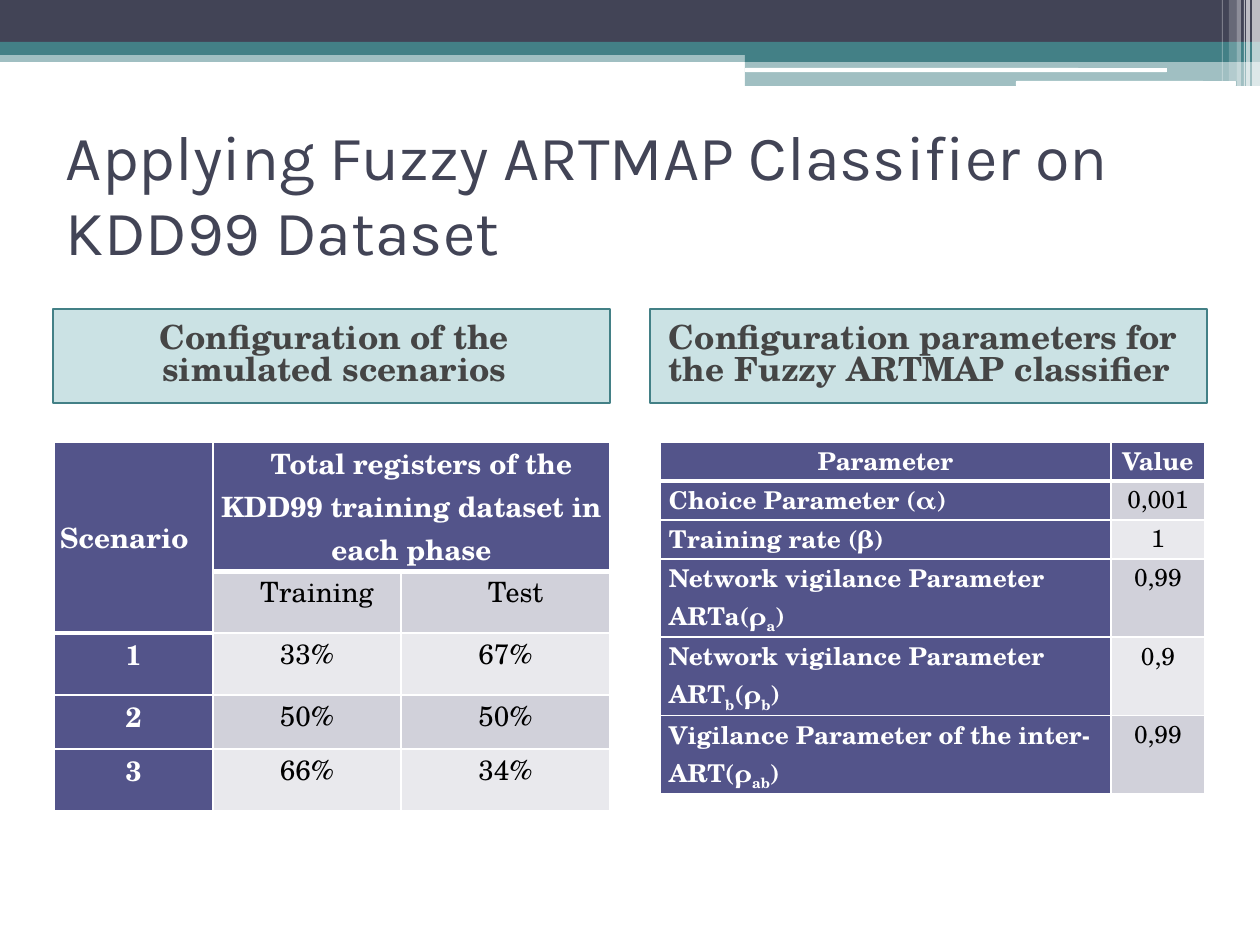
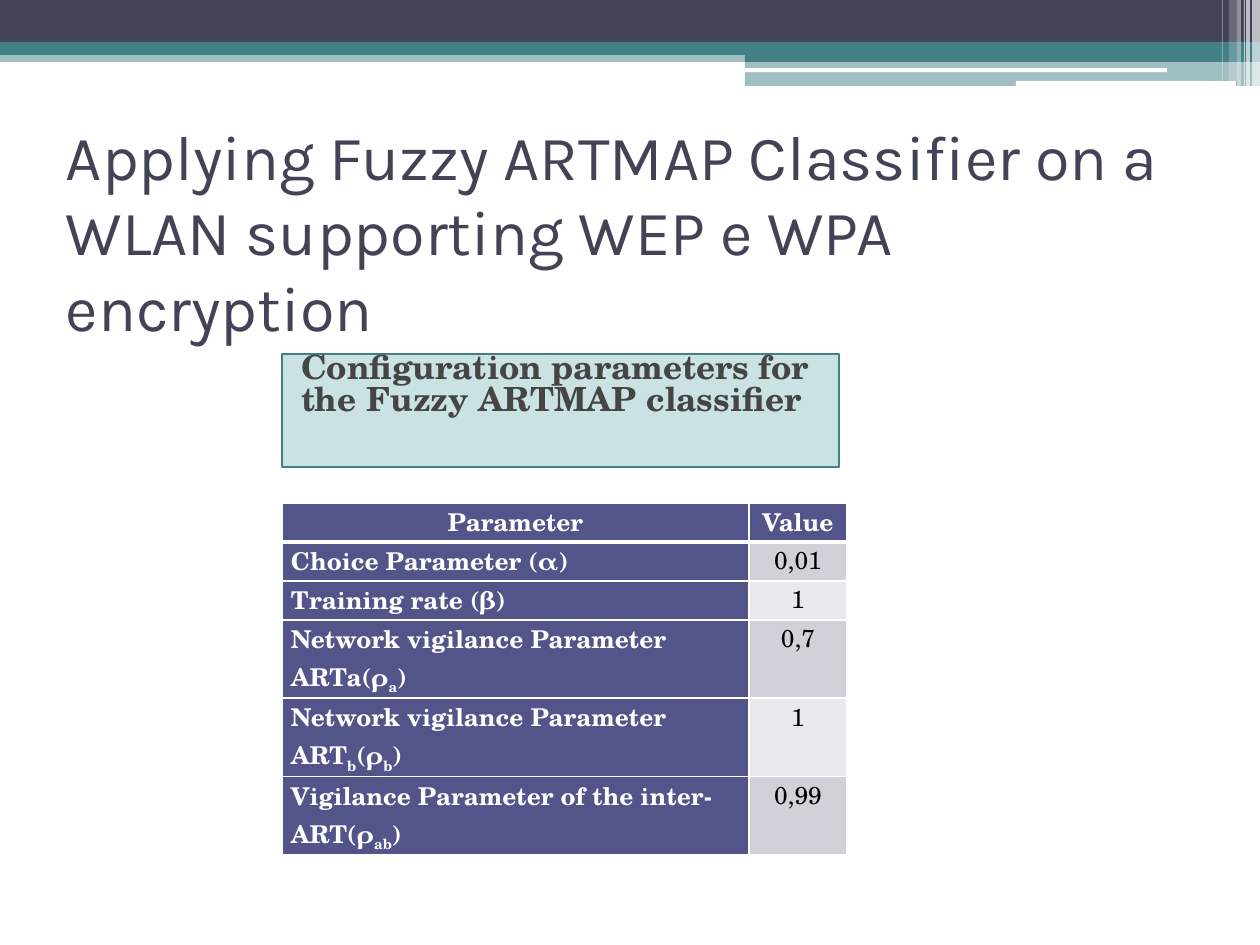
from dataclasses import dataclass

from lxml import etree
from pptx import Presentation
from pptx.dml.color import RGBColor
from pptx.enum.shapes import MSO_SHAPE
from pptx.enum.text import MSO_ANCHOR, MSO_AUTO_SIZE, PP_ALIGN
from pptx.oxml.ns import qn
from pptx.util import Emu, Pt

RECT, ROUND = MSO_SHAPE.RECTANGLE, MSO_SHAPE.ROUNDED_RECTANGLE
LEFT, CENTER, JUSTIFY = PP_ALIGN.LEFT, PP_ALIGN.CENTER, PP_ALIGN.JUSTIFY
TOP, MIDDLE = MSO_ANCHOR.TOP, MSO_ANCHOR.MIDDLE
NO_FIT = MSO_AUTO_SIZE.NONE

PX_PER_INCH = 126
COMPARISON_LAYOUT = 4
DARK, TEAL, WHITE, BLACK = "424456", "438086", "FFFFFF", "000000"
CAPTION_FILL, CAPTION_TEXT = "328E97", "454545"
HEAD, BAND_ODD, BAND_EVEN = "53548A", "D1D1DA", "E9E9ED"
TITLE_FONT, BODY_FONT = "Karla", "TeX Gyre Schola"
PARAMETERS = [
    "Choice Parameter (α)",
    "Training rate (β)",
    "Network vigilance Parameter ARTa(ρ_a_)",
    "Network vigilance Parameter ART_b_(ρ_b_)",
    "Vigilance Parameter of the inter-ART(ρ_ab_)",
]
PARAMETER_CAPTION = "Configuration parameters for the Fuzzy ARTMAP classifier"


@dataclass
class Band:
    left: int
    top: int
    width: int
    height: int
    color: str
    alpha: int = 100
    kind: int = RECT


@dataclass
class Caption:
    idx: int
    left: int
    top: int
    height: int
    text: str
    align: int = LEFT
    anchor: int = MIDDLE


@dataclass
class Grid:
    left: int
    top: int
    cols: list[int]
    rows: list[int]
    texts: list[list[str]]
    size: int
    inset: int
    label_align: int


BANDS = [
    Band(0, 50, 1260, 12, TEAL, 50),
    Band(0, 0, 1260, 42, DARK),
    Band(0, 42, 1260, 13, TEAL),
    Band(745, 49, 515, 13, TEAL),
    Band(745, 61, 515, 25, TEAL, 50),
    Band(745, 68, 422, 4, WHITE, kind=ROUND),
    Band(1016, 81, 220, 5, WHITE, kind=ROUND),
    Band(1252, 0, 8, 86, WHITE, 65),
    Band(1246, 0, 4, 86, WHITE, 65),
    Band(1244, 0, 1, 86, WHITE, 60),
    Band(1237, 0, 4, 86, WHITE, 40),
    Band(1229, 0, 8, 81, WHITE, 20),
    Band(1222, 0, 1, 81, WHITE, 30),
]


def px(n: int) -> Emu:
    return Emu(round(n * 914400 / PX_PER_INCH))


def rgb(color: str) -> RGBColor:
    return RGBColor.from_string(color)


def paint(sp, color: str, alpha: int = 100) -> None:
    sp.fill.solid()
    sp.fill.fore_color.rgb = rgb(color)
    if alpha < 100:
        clr = sp.element.spPr.find(qn("a:solidFill"))[0]
        etree.SubElement(clr, qn("a:alpha"), val=str(alpha * 1000))


def place(sp, left: int, top: int, width: int, height: int) -> None:
    sp.left, sp.top = px(left), px(top)
    sp.width, sp.height = px(width), px(height)


def style(r, font: str, size: int, color: str, bold: bool = False) -> None:
    r.font.name = font
    r.font.size = Pt(size)
    r.font.color.rgb = rgb(color)
    r.font.bold = bold


def indent(p, margin: int, first: int) -> None:
    pPr = p._p.get_or_add_pPr()
    pPr.set("marL", str(px(margin)))
    pPr.set("indent", str(px(first)))


def add_bands(prs, s) -> None:
    tree = prs.slide_master.shapes.element
    for i, b in enumerate(BANDS):
        sp = s.shapes.add_shape(b.kind, px(b.left), px(b.top), px(b.width), px(b.height))
        paint(sp, b.color, b.alpha)
        sp.line.fill.background()
        sp.shadow.inherit = False
        tree.insert(2 + i, sp.element)


def set_title(s, text: str, bottom_inset: int = 6) -> None:
    sp = s.shapes.title
    place(sp, 53, 157, 1155, 147)
    tf = sp.text_frame
    tf.text = text
    tf.auto_size = NO_FIT
    tf.word_wrap = True
    tf.vertical_anchor = MIDDLE
    tf.margin_left = tf.margin_right = px(13)
    tf.margin_top, tf.margin_bottom = px(6), px(bottom_inset)
    p = tf.paragraphs[0]
    p.alignment = LEFT
    style(p.runs[0], TITLE_FONT, 36, DARK)


def set_caption(s, c: Caption) -> None:
    sp = s.placeholders[c.idx]
    place(sp, c.left, c.top, 557, c.height)
    paint(sp, CAPTION_FILL, 25)
    sp.line.color.rgb = rgb(TEAL)
    sp.line.width = Pt(1)
    tf = sp.text_frame
    tf.text = c.text
    tf.auto_size = NO_FIT
    tf.word_wrap = True
    tf.vertical_anchor = c.anchor
    tf.margin_left = tf.margin_right = px(13)
    tf.margin_top = tf.margin_bottom = 0
    p = tf.paragraphs[0]
    indent(p, 6, 0)
    p.alignment = c.align
    p.line_spacing = 0.8
    p.space_before = Pt(0)
    style(p.runs[0], BODY_FONT, 19, CAPTION_TEXT, True)


def set_borders(cell, bottom: int) -> None:
    tcPr = cell._tc.get_or_add_tcPr()
    for i, side in enumerate("LRTB"):
        width = bottom if side == "B" else 1
        ln = etree.Element(qn(f"a:ln{side}"), w=str(Pt(width)))
        fill = etree.SubElement(ln, qn("a:solidFill"))
        etree.SubElement(fill, qn("a:srgbClr"), val=WHITE)
        tcPr.insert(i, ln)


def fill_cell(cell, g: Grid, row: int, col: int) -> None:
    text = g.texts[row][col]
    is_head = row == 0 or col == 0
    cell.fill.solid()
    cell.fill.fore_color.rgb = rgb(HEAD if is_head else BAND_ODD if row % 2 else BAND_EVEN)
    set_borders(cell, 3 if row == 0 or not text else 1)
    cell.margin_left = cell.margin_right = px(g.inset)
    cell.margin_top = cell.margin_bottom = 0
    p = cell.text_frame.paragraphs[0]
    p.alignment = g.label_align if row and col == 0 else CENTER
    for i, part in enumerate(text.split("_")):
        if part:
            r = p.add_run()
            r.text = part
            style(r, BODY_FONT, g.size, WHITE if is_head else BLACK, is_head)
            if i % 2:
                r._r.get_or_add_rPr().set("baseline", "-25000")


def add_grid(s, g: Grid):
    frame = s.shapes.add_table(
        len(g.rows), len(g.cols), px(g.left), px(g.top), px(sum(g.cols)), px(sum(g.rows))
    )
    table = frame.table
    for col, width in enumerate(g.cols):
        table.columns[col].width = px(width)
    for row, height in enumerate(g.rows):
        table.rows[row].height = px(height)
        for col in range(len(g.cols)):
            fill_cell(table.cell(row, col), g, row, col)
    return table


def add_scenarios(s) -> None:
    texts = [
        ["Scenario", "Total registers of the KDD99 training dataset in each phase", ""],
        ["", "Training", "Test"],
        ["1", "33%", "67%"],
        ["2", "50%", "50%"],
        ["3", "66%", "34%"],
    ]
    g = Grid(54, 442, [159, 188, 209], [62, 62, 62, 54, 62], texts, 16, 6, CENTER)
    table = add_grid(s, g)
    scenario = table.cell(0, 0)
    scenario.merge(table.cell(1, 0))
    table.cell(0, 1).merge(table.cell(0, 2))
    scenario.vertical_anchor = MIDDLE
    scenario.text_frame.paragraphs[0].alignment = JUSTIFY
    for row, col in [(0, 1), (1, 1), (1, 2)]:
        indent(table.cell(row, col).text_frame.paragraphs[0], 0, 20)


def add_parameters(s, left: int, top: int, cols: list[int], values: list[str]) -> None:
    texts = [["Parameter", "Value"]] + [list(pair) for pair in zip(PARAMETERS, values)]
    rows = [39] * 3 + [77] * 3
    add_grid(s, Grid(left, top, cols, rows, texts, 14, 9, LEFT))


def drop_empty(s) -> None:
    for sp in list(s.placeholders):
        if not sp.text_frame.text:
            sp.element.getparent().remove(sp.element)


def main() -> None:
    prs = Presentation()
    prs.slide_width, prs.slide_height = px(1260), px(945)
    layout = prs.slide_layouts[COMPARISON_LAYOUT]

    s = prs.slides.add_slide(layout)
    add_bands(prs, s)
    set_title(s, "Applying Fuzzy ARTMAP Classifier on KDD99 Dataset", 81)
    set_caption(s, Caption(1, 53, 309, 94, "Configuration of the simulated scenarios", CENTER))
    set_caption(s, Caption(3, 650, 309, 94, PARAMETER_CAPTION))
    add_scenarios(s)
    add_parameters(s, 660, 442, [451, 94], ["0,001", "1", "0,99", "0,9", "0,99"])
    drop_empty(s)

    s = prs.slides.add_slide(layout)
    set_title(s, "Applying Fuzzy ARTMAP Classifier on a WLAN supporting WEP e WPA encryption")
    set_caption(s, Caption(1, 282, 354, 113, PARAMETER_CAPTION, anchor=TOP))
    add_parameters(s, 282, 503, [467, 98], ["0,01", "1", "0,7", "1", "0,99"])
    drop_empty(s)

    prs.save("out.pptx")


if __name__ == "__main__":
    main()
